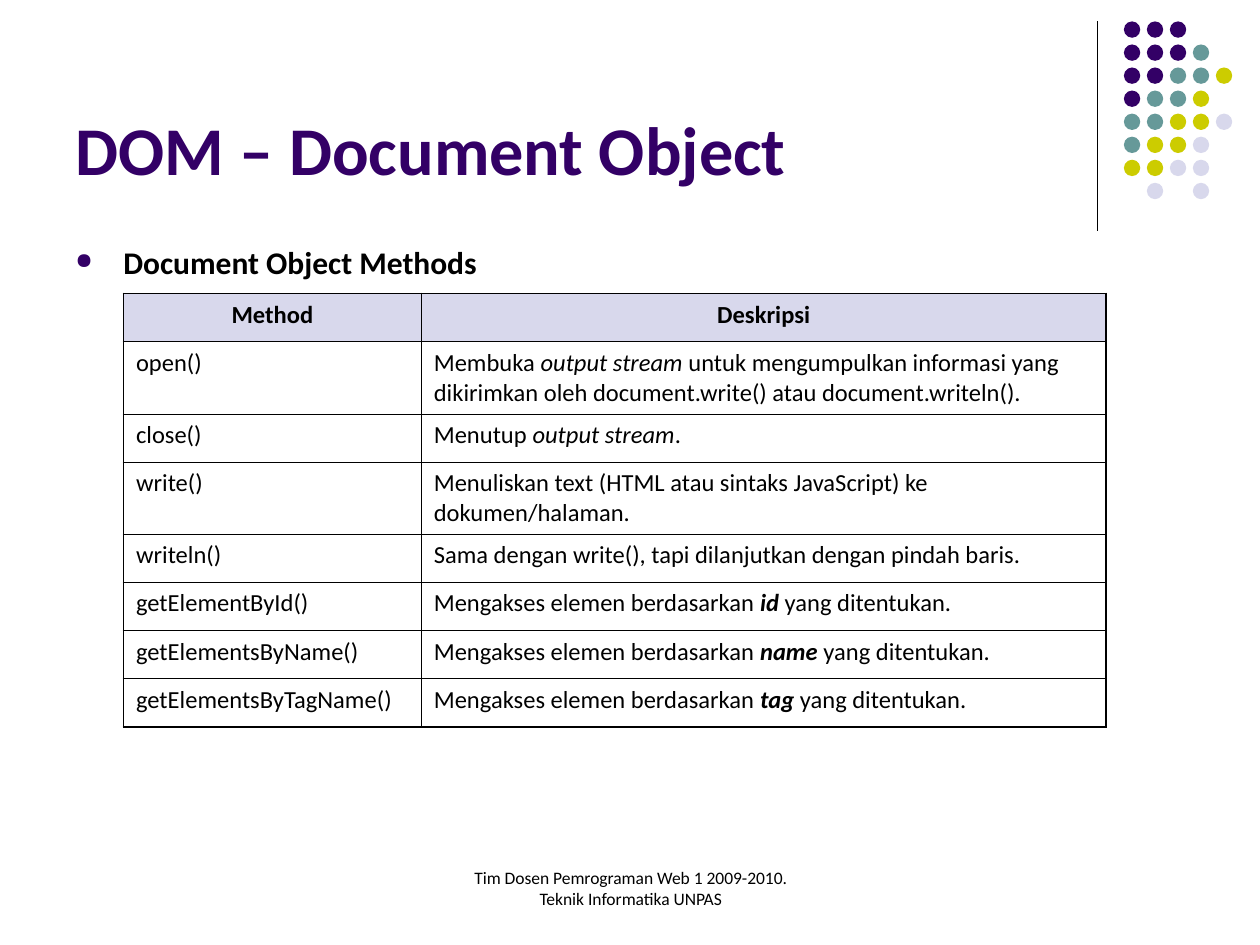
from lxml.etree import SubElement
from pptx import Presentation
from pptx.dml.color import RGBColor
from pptx.enum.shapes import MSO_CONNECTOR, MSO_SHAPE
from pptx.enum.text import MSO_ANCHOR, PP_ALIGN
from pptx.oxml.ns import qn
from pptx.util import Inches, Pt

PURPLE = RGBColor(0x33, 0x00, 0x66)
TEAL = RGBColor(0x66, 0x99, 0x99)
LIME = RGBColor(0xCC, 0xCC, 0x00)
LAVENDER = RGBColor(0xD8, 0xD8, 0xEC)
BLACK = RGBColor(0x00, 0x00, 0x00)
FONT = "Calibri"
DOT_COLOURS = {"P": PURPLE, "T": TEAL, "L": LIME, "V": LAVENDER}
DOT_ROWS = ["PPP..", "PPPT.", "PPTTL", "PTTL.", "TTLLV", "TLLV.", "LLVV.", ".V.V."]
OUTER_BORDER, INNER_BORDER = 1.08, 0.45
ACCESS = "Mengakses elemen berdasarkan "
DETERMINED = " yang ditentukan."
METHODS = [
    ("open()", [("Membuka ", ""), ("output stream", "i"),
                (" untuk mengumpulkan informasi yang dikirimkan oleh "
                 "document.write() atau document.writeln().", "")]),
    ("close()", [("Menutup ", ""), ("output stream", "i"), (".", "")]),
    ("write()", [("Menuliskan text (HTML atau sintaks JavaScript) ke dokumen/halaman.", "")]),
    ("writeln()", [("Sama dengan write(), tapi dilanjutkan dengan pindah baris.", "")]),
    ("getElementById()", [(ACCESS, ""), ("id", "bi"), (DETERMINED, "")]),
    ("getElementsByName()", [(ACCESS, ""), ("name", "bi"), (DETERMINED, "")]),
    ("getElementsByTagName()", [(ACCESS, ""), ("tag", "bi"), (DETERMINED, "")]),
]


def format_run(run, size, colour=BLACK, bold=False, italic=False):
    """Apply the slide's typeface with the given size, colour and emphasis."""
    run.font.name = FONT
    run.font.size = Pt(size)
    run.font.color.rgb = colour
    run.font.bold = bold
    run.font.italic = italic


def place(shape, box):
    """Move a shape to a box of left, top, width and height in inches."""
    shape.left, shape.top, shape.width, shape.height = map(Inches, box)


def add_dots(slide, box):
    """Spread the coloured dots over an even grid that fills the box."""
    left, top, width, height = box
    diameter = 0.13
    column_step = (width - diameter) / (len(DOT_ROWS[0]) - 1)
    row_step = (height - diameter) / (len(DOT_ROWS) - 1)
    group = slide.shapes.add_group_shape()
    for row, codes in enumerate(DOT_ROWS):
        for column, code in enumerate(codes):
            if code not in DOT_COLOURS:
                continue
            dot = group.shapes.add_shape(
                MSO_SHAPE.OVAL, Inches(left + column * column_step),
                Inches(top + row * row_step), Inches(diameter), Inches(diameter))
            dot.shadow.inherit = False
            dot.fill.solid()
            dot.fill.fore_color.rgb = DOT_COLOURS[code]
            dot.line.fill.background()


def add_corner(slide, box):
    """Draw the rule at the box's left edge and the dots to its right."""
    left, top, width, height = box
    rule = slide.shapes.add_connector(
        MSO_CONNECTOR.STRAIGHT, Inches(left), Inches(top), Inches(left), Inches(top + height))
    rule.line.color.rgb = BLACK
    rule.line.width = Pt(0.75)
    SubElement(rule._element.spPr, qn("a:effectLst"))
    add_dots(slide, (left + 0.21, top, width - 0.21, height * 0.85))


def add_title(slide, box):
    """Fill and format the title placeholder."""
    title = slide.shapes.title
    place(title, box)
    frame = title.text_frame
    frame.text = "DOM – Document Object"
    frame.vertical_anchor = MSO_ANCHOR.BOTTOM
    frame.paragraphs[0].alignment = PP_ALIGN.LEFT
    format_run(frame.paragraphs[0].runs[0], 39, PURPLE, bold=True)


def add_text(slide, box, text, size, bold=False):
    """Add a wrapping text box and return its paragraph."""
    frame = slide.shapes.add_textbox(*map(Inches, box)).text_frame
    frame.word_wrap = True
    frame.text = text
    paragraph = frame.paragraphs[0]
    for run in paragraph.runs:
        format_run(run, size, bold=bold)
    return paragraph


def add_heading(slide, box):
    """Add the bulleted heading above the table."""
    paragraph = add_text(slide, box, "Document Object Methods", 18, bold=True)
    paragraph.space_before = Pt(4.5)
    properties = paragraph._p.get_or_add_pPr()
    properties.set("marL", str(Inches(0.38)))
    properties.set("indent", str(-Inches(0.38)))
    SubElement(SubElement(properties, qn("a:buClr")), qn("a:srgbClr"), val=str(PURPLE))
    SubElement(properties, qn("a:buSzPct"), val="70000")
    SubElement(properties, qn("a:buChar"), char="●")


def set_borders(cell, outer_sides):
    """Line all sides of a cell, heavier on the table's outer sides."""
    properties = cell._tc.get_or_add_tcPr()
    for side in "LRTB":
        width = OUTER_BORDER if side in outer_sides else INNER_BORDER
        line = SubElement(properties, qn(f"a:ln{side}"), w=str(Pt(width)))
        SubElement(SubElement(line, qn("a:solidFill")), qn("a:srgbClr"), val=str(BLACK))


def fill_cell(cell, pieces, header):
    """Write pieces of text, each with its emphasis letters, into a cell."""
    cell.margin_left = cell.margin_right = Inches(0.1)
    cell.margin_top = cell.margin_bottom = Inches(0.05)
    paragraph = cell.text_frame.paragraphs[0]
    paragraph.space_before = Pt(3.5)
    paragraph.alignment = PP_ALIGN.CENTER if header else PP_ALIGN.LEFT
    for text, emphasis in pieces:
        run = paragraph.add_run()
        run.text = text
        format_run(run, 14, bold="b" in emphasis, italic="i" in emphasis)
    if header:
        cell.fill.solid()
        cell.fill.fore_color.rgb = LAVENDER
    else:
        cell.fill.background()


def add_methods_table(slide, box):
    """Add the table of methods, with double-line rows half as tall again."""
    rows = [([("Method", "b")], [("Deskripsi", "b")])]
    rows += [([(method, "")], description) for method, description in METHODS]
    weights = [1, 1.5, 1, 1.5, 1, 1, 1, 1]
    table = slide.shapes.add_table(len(rows), 2, *map(Inches, box)).table
    for column, share in zip(table.columns, (0.303, 0.697)):
        column.width = Inches(box[2] * share)
    for index, (contents, weight) in enumerate(zip(rows, weights)):
        table.rows[index].height = Inches(box[3] * weight / sum(weights))
        vertical = "T" if index == 0 else "B" if index == len(rows) - 1 else ""
        for column, (pieces, side) in enumerate(zip(contents, "LR")):
            cell = table.cell(index, column)
            set_borders(cell, side + vertical)
            fill_cell(cell, pieces, header=index == 0)


def add_footer(slide, box):
    """Add the centred footer on two lines."""
    text = "Tim Dosen Pemrograman Web 1 2009-2010.\vTeknik Informatika UNPAS"
    add_text(slide, box, text, 10).alignment = PP_ALIGN.CENTER


def main():
    """Build the slide and save it."""
    presentation = Presentation()
    presentation.slide_width, presentation.slide_height = Inches(10), Inches(7.5)
    slide = presentation.slides.add_slide(presentation.slide_layouts[5])
    add_corner(slide, (8.71, 0.17, 1.07, 1.66))
    add_footer(slide, (3.42, 6.83, 3.17, 0.5))
    add_title(slide, (0.5, 0.13, 8.25, 1.42))
    add_heading(slide, (0.5, 1.88, 4.42, 0.61))
    add_methods_table(slide, (0.98, 2.33, 7.8, 3.44))
    presentation.save("out.pptx")


if __name__ == "__main__":
    main()
